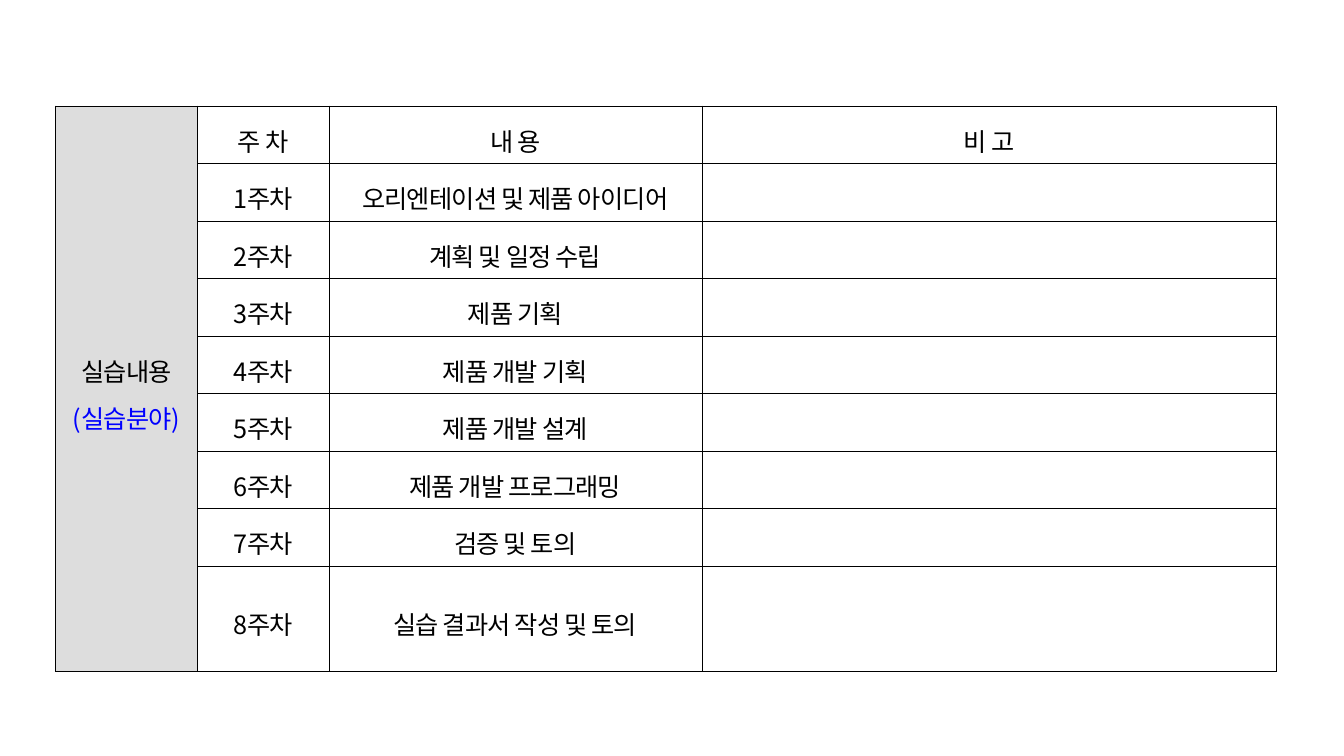
from lxml import etree
from pptx import Presentation, util as u
from pptx.dml.color import RGBColor
from pptx.enum import text
from pptx.oxml import ns

FONT = "Noto Sans CJK KR"
BLACK, BLUE, GRAY, WHITE = "000000", "0000FF", "DDDDDD", "FFFFFF"
COLS = [1.41, 1.3, 3.7, 5.7]
ROW_H = 0.56
HEADER = ["주 차", "내 용", "비 고"]
TOPICS = [
    "오리엔테이션 및 제품 아이디어",
    "계획 및 일정 수립",
    "제품 기획",
    "제품 개발 기획",
    "제품 개발 설계",
    "제품 개발 프로그래밍",
    "검증 및 토의",
    "실습 결과서 작성 및 토의",
]


def rgb(value):
    return RGBColor.from_string(value)


def add_borders(cell, color=BLACK, width=0.28):
    tcPr = cell._tc.get_or_add_tcPr()
    for i, side in enumerate(("lnL", "lnR", "lnT", "lnB")):
        ln = etree.Element(ns.qn("a:" + side), w=str(int(u.Pt(width))))
        fill = etree.SubElement(ln, ns.qn("a:solidFill"))
        etree.SubElement(fill, ns.qn("a:srgbClr"), val=color)
        tcPr.insert(i, ln)


def style_cell(cell, fill):
    cell.fill.solid()
    cell.fill.fore_color.rgb = rgb(fill)
    cell.vertical_anchor = text.MSO_ANCHOR.MIDDLE
    cell.margin_left = cell.margin_right = u.Inches(0.07)
    add_borders(cell)


def write_cell(cell, lines):
    tf = cell.text_frame
    for i, (line, color) in enumerate(lines):
        p = tf.add_paragraph() if i else tf.paragraphs[0]
        p.alignment = text.PP_ALIGN.CENTER
        p.line_spacing = 1.3
        r = p.add_run()
        r.text = line
        r.font.size = u.Pt(18)
        r.font.name = FONT
        r.font.color.rgb = rgb(color)
        rPr = r.font._element
        rPr.set("spc", "-60")
        etree.SubElement(rPr, ns.qn("a:ea"), typeface=FONT)


def add_schedule(s, left, top):
    rows = [HEADER] + [[f"{n}주차", topic, ""] for n, topic in enumerate(TOPICS, 1)]
    table = s.shapes.add_table(
        len(rows), len(COLS), u.Inches(left), u.Inches(top),
        u.Inches(sum(COLS)), u.Inches(ROW_H * len(rows))).table
    table.first_row = table.horz_banding = False
    for column, width in zip(table.columns, COLS):
        column.width = u.Inches(width)
    for row in table.rows:
        row.height = u.Inches(ROW_H)

    # Category column, merged over all weeks
    for i in range(len(rows)):
        style_cell(table.cell(i, 0), GRAY)
    category = table.cell(0, 0)
    category.merge(table.cell(len(rows) - 1, 0))
    write_cell(category, [("실습내용", BLACK), ("(실습분야)", BLUE)])

    # Header and weekly rows
    for i, values in enumerate(rows):
        for j, value in enumerate(values, 1):
            cell = table.cell(i, j)
            style_cell(cell, WHITE)
            if value:
                write_cell(cell, [(value, BLACK)])


prs = Presentation()
prs.slide_width, prs.slide_height = u.Inches(13.33), u.Inches(7.5)
s = prs.slides.add_slide(prs.slide_layouts[6])
add_schedule(s, 0.55, 1.05)
prs.save("out.pptx")
